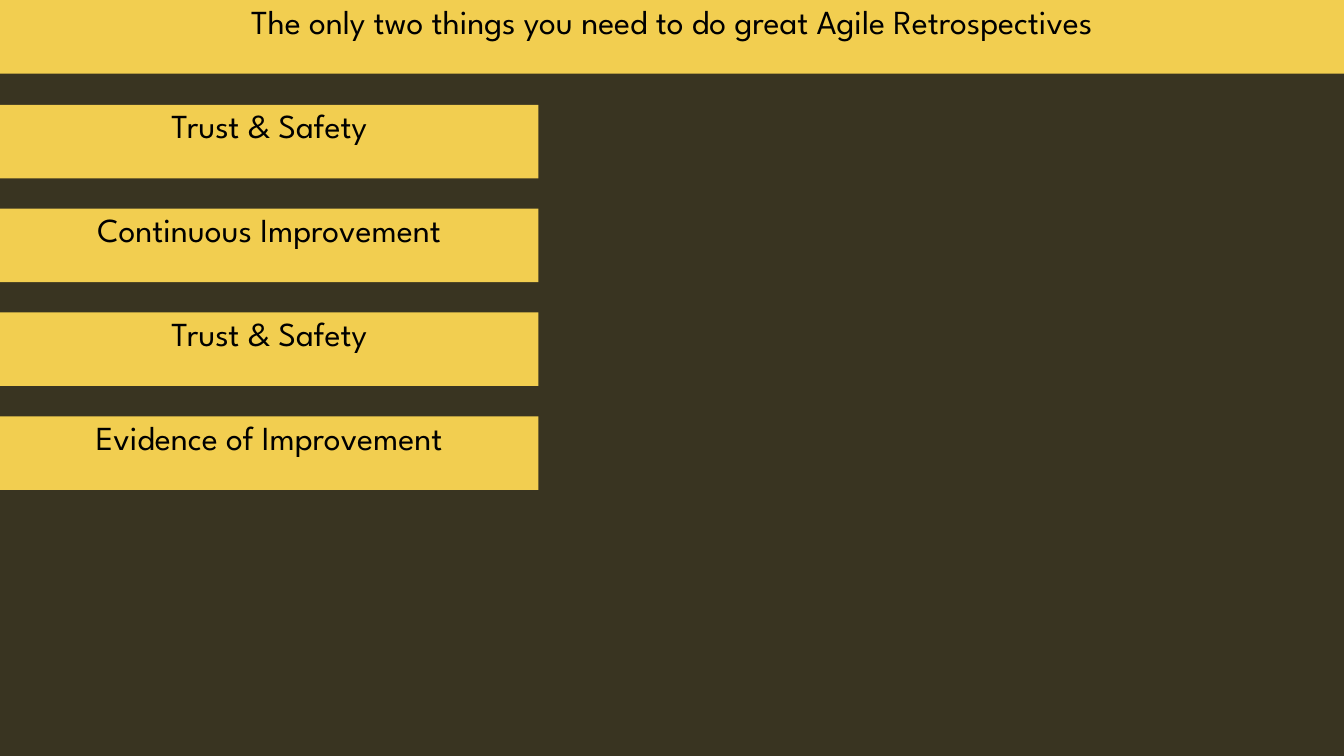
from dataclasses import dataclass

import pptx
import pptx.dml.color
import pptx.enum.shapes
import pptx.enum.text
import pptx.util
from pptx.util import Inches

FONT = "League Spartan"
BACKGROUND, YELLOW, BLACK = "393421", "F2CE50", "000000"
BAR_HEIGHT = 0.73
POINT_WIDTH, POINT_TOP, POINT_PITCH = 5.34, 1.04, 1.03


@dataclass
class Bar:
    text: str
    top: float
    width: float


def rgb(value: str) -> pptx.dml.color.RGBColor:
    return pptx.dml.color.RGBColor.from_string(value)


def format_bar(sp, bar: Bar) -> None:
    """Place a shape at the left edge and give it the bar's fill and text."""
    sp.left, sp.top = Inches(0), Inches(bar.top)
    sp.width, sp.height = Inches(bar.width), Inches(BAR_HEIGHT)
    sp.fill.solid()
    sp.fill.fore_color.rgb = rgb(YELLOW)
    sp.line.fill.background()

    tf = sp.text_frame
    tf.word_wrap = True
    tf.auto_size = pptx.enum.text.MSO_AUTO_SIZE.NONE
    tf.vertical_anchor = pptx.enum.text.MSO_ANCHOR.TOP
    p = tf.paragraphs[0]
    p.alignment = pptx.enum.text.PP_ALIGN.CENTER
    p.line_spacing = 0.9
    p.space_before = pptx.util.Pt(10)
    r = p.add_run()
    r.text = bar.text
    r.font.name = FONT
    r.font.size = pptx.util.Pt(24)
    r.font.color.rgb = rgb(BLACK)


def add_bar(s, bar: Bar) -> None:
    sp = s.shapes.add_shape(pptx.enum.shapes.MSO_SHAPE.RECTANGLE, 0, 0, 0, 0)
    sp.shadow.inherit = False
    format_bar(sp, bar)


# Slide and background
prs = pptx.Presentation()
prs.slide_width, prs.slide_height = Inches(13.33), Inches(7.5)
s = prs.slides.add_slide(prs.slide_layouts[5])
s.background.fill.solid()
s.background.fill.fore_color.rgb = rgb(BACKGROUND)

# Title across the full width
title = "The only two things you need to do great Agile Retrospectives"
format_bar(s.shapes.title, Bar(title, 0, 13.33))

# Points at an equal pitch
points = ["Trust & Safety", "Continuous Improvement",
          "Trust & Safety", "Evidence of Improvement"]
for i, text in enumerate(points):
    add_bar(s, Bar(text, POINT_TOP + i * POINT_PITCH, POINT_WIDTH))

prs.save("out.pptx")
